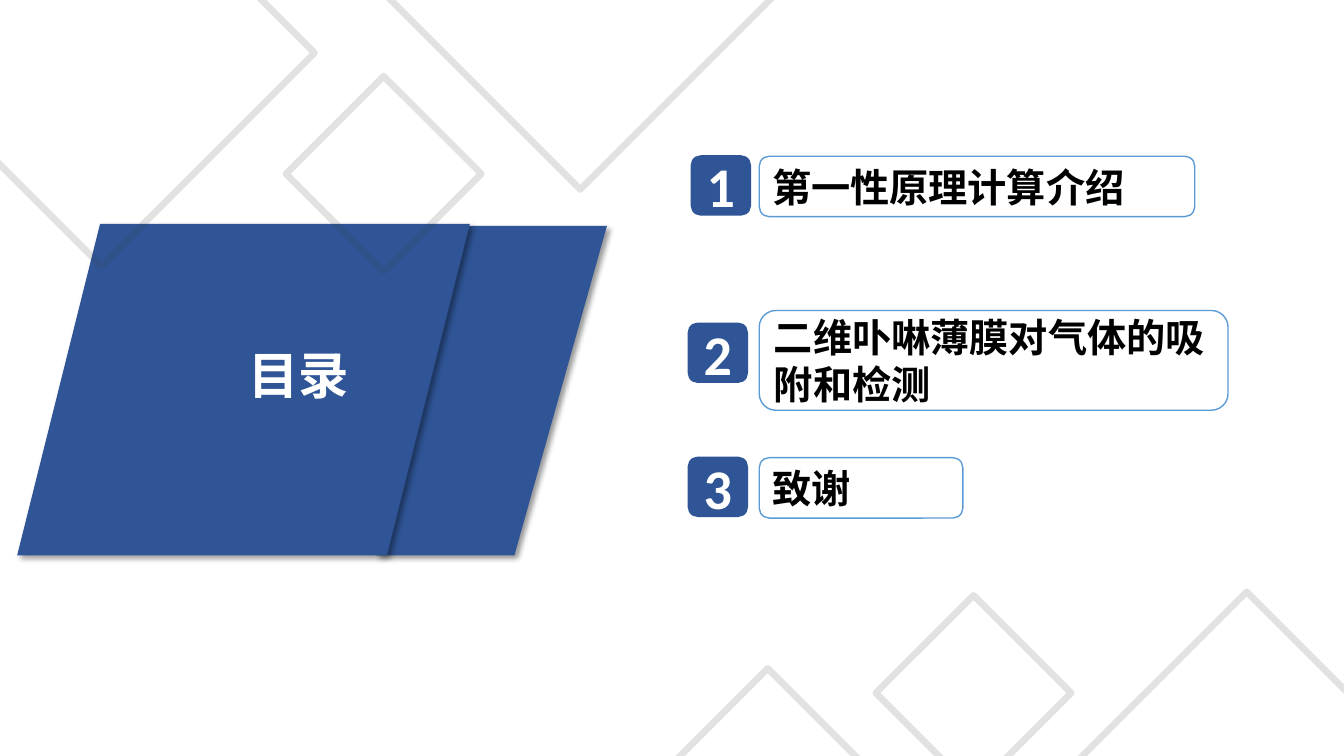
import pptx
import pptx.util
import pptx.dml.color
import pptx.enum.shapes
import pptx.enum.text
import pptx.oxml.ns
import lxml.etree
from dataclasses import dataclass

TITLE = "目录"
TITLE_BOX = (1.37, 3.36, 3.18, 0.71)
BANNERS = [((3.73, 2.24, 2.29, 3.27), 0.401), ((0.17, 2.22, 4.49, 3.29), 0.25)]
LARGE, SMALL = 2.99, 1.37
DIAMONDS = [
    (-0.49, -0.97, LARGE), (4.26, -1.73, LARGE), (3.12, 1.04, SMALL),
    (10.87, 6.49, LARGE), (6.12, 7.25, LARGE), (8.97, 6.19, SMALL),
]
BADGE = 0.6
ENTRY_LEFT = 7.53
ENTRIES = [
    ("第一性原理计算介绍", 1.55, 4.32, 0.6, 6.85, 1.54),
    ("二维卟啉薄膜对气体的吸附和检测", 3.08, 4.65, 0.99, 6.82, 3.2),
    ("致谢", 4.54, 2.02, 0.6, 6.82, 4.53),
]


@dataclass(frozen=True)
class Theme:
    blue: str = "2F5597"
    outline: str = "5B9BD5"
    grey: str = "404040"
    white: str = "FFFFFF"
    black: str = "000000"
    cjk: str = "Noto Sans CJK SC"
    latin: str = "Calibri"
    title: int = 36
    entry: int = 28
    number: int = 40


T = Theme()
SHAPE = pptx.enum.shapes.MSO_SHAPE
ALIGN = pptx.enum.text.PP_ALIGN
ANCHOR = pptx.enum.text.MSO_ANCHOR
qn = pptx.oxml.ns.qn
rgb = pptx.dml.color.RGBColor.from_string


def inches(box):
    return [pptx.util.Inches(v) for v in box]


def add_alpha(color, percent):
    lxml.etree.SubElement(color, qn("a:alpha"), val=str(percent * 1000))


def add_shape(slide, kind, box, fill=None, line=None, width=1):
    sp = slide.shapes.add_shape(kind, *inches(box))
    sp.shadow.inherit = False
    if fill:
        sp.fill.solid()
        sp.fill.fore_color.rgb = rgb(fill)
    else:
        sp.fill.background()
    if line:
        sp.line.color.rgb = rgb(line)
        sp.line.width = pptx.util.Pt(width)
    else:
        sp.line.fill.background()
    return sp


def add_shadow(sp):
    effects = sp._element.spPr.find(qn("a:effectLst"))
    shadow = lxml.etree.SubElement(
        effects, qn("a:outerShdw"), blurRad=str(pptx.util.Pt(4)),
        dist=str(pptx.util.Pt(3)), dir=str(45 * 60000), algn="tl", rotWithShape="0")
    color = lxml.etree.SubElement(shadow, qn("a:srgbClr"), val=T.black)
    add_alpha(color, 40)


def write(sp, text, size, font, color, align, anchor=ANCHOR.MIDDLE):
    tf = sp.text_frame
    tf.word_wrap = True
    tf.vertical_anchor = anchor
    p = tf.paragraphs[0]
    p.alignment = align
    r = p.add_run()
    r.text = text
    r.font.size = pptx.util.Pt(size)
    r.font.bold = True
    r.font.name = font
    r.font.color.rgb = rgb(color)
    lxml.etree.SubElement(r.font._element, qn("a:ea"), typeface=font)


def add_title(slide):
    for box, slant in BANNERS:
        sp = add_shape(slide, SHAPE.PARALLELOGRAM, box, T.blue)
        sp.adjustments[0] = slant
        add_shadow(sp)
    sp = slide.shapes.add_textbox(*inches(TITLE_BOX))
    write(sp, TITLE, T.title, T.cjk, T.white, ALIGN.CENTER, ANCHOR.TOP)


def add_diamonds(slide):
    for left, top, side in DIAMONDS:
        sp = add_shape(slide, SHAPE.RECTANGLE, (left, top, side, side),
                       line=T.grey, width=4.75)
        sp.rotation = 45
        add_alpha(sp.line._ln.find(".//" + qn("a:srgbClr")), 14)


def add_entries(slide):
    for number, entry in enumerate(ENTRIES, 1):
        text, top, width, height, badge_left, badge_top = entry
        sp = add_shape(slide, SHAPE.ROUNDED_RECTANGLE,
                       (ENTRY_LEFT, top, width, height), T.white, T.outline)
        write(sp, text, T.entry, T.cjk, T.black, ALIGN.LEFT)
        sp = add_shape(slide, SHAPE.ROUNDED_RECTANGLE,
                       (badge_left, badge_top, BADGE, BADGE), T.blue)
        write(sp, str(number), T.number, T.latin, T.white, ALIGN.CENTER)


def main():
    prs = pptx.Presentation()
    prs.slide_width = pptx.util.Inches(13.33)
    prs.slide_height = pptx.util.Inches(7.5)
    slide = prs.slides.add_slide(prs.slide_layouts[6])
    add_title(slide)
    add_diamonds(slide)
    add_entries(slide)
    prs.save("out.pptx")


if __name__ == "__main__":
    main()
